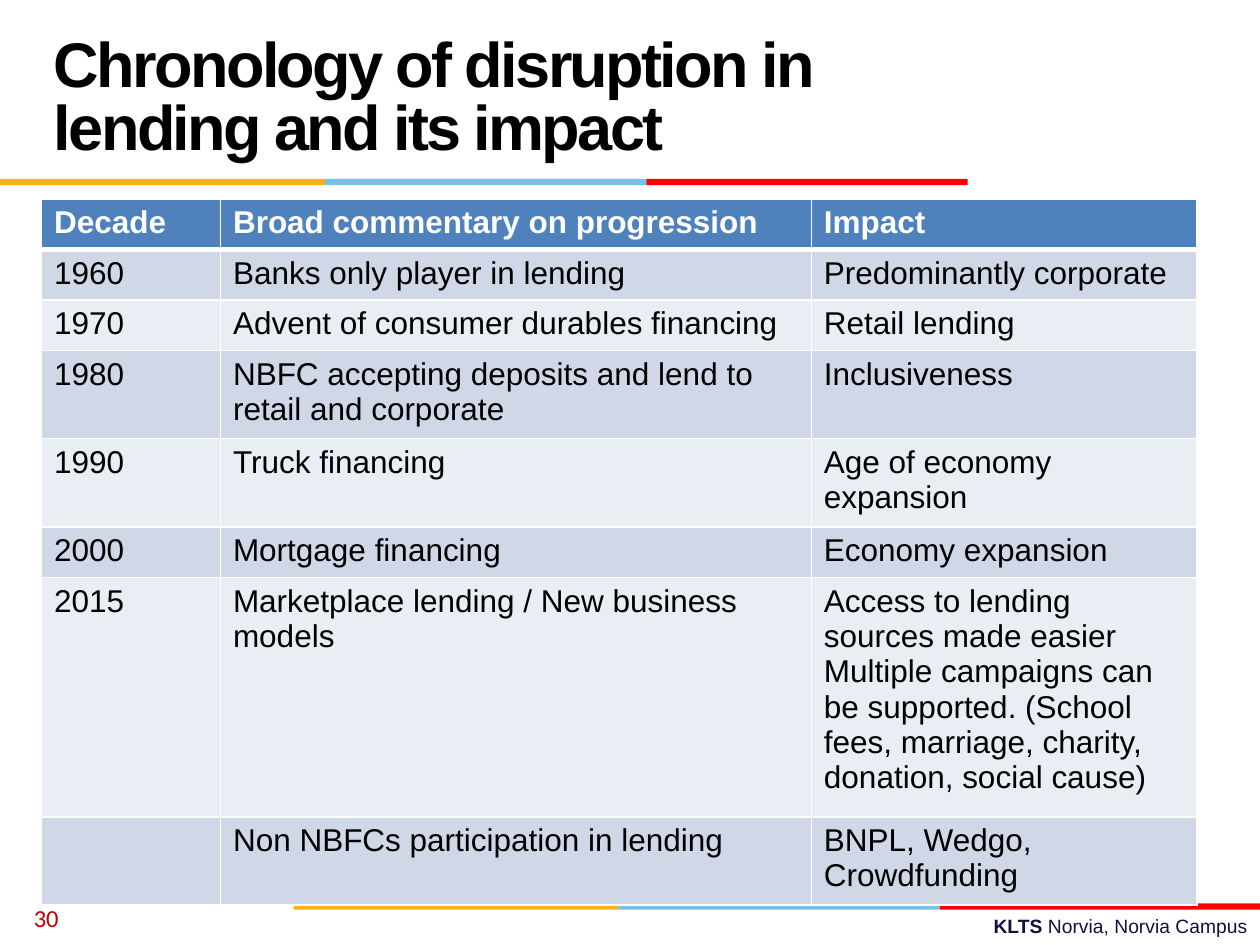
from dataclasses import dataclass

from lxml.etree import SubElement
from pptx import Presentation
from pptx.dml.color import RGBColor
from pptx.enum.shapes import MSO_SHAPE
from pptx.enum.text import MSO_ANCHOR, PP_ALIGN
from pptx.oxml.ns import qn
from pptx.util import Inches, Pt


@dataclass(frozen=True)
class Theme:
    font: str = "Arial"
    number_font: str = "Calibri"
    black: str = "000000"
    white: str = "FFFFFF"
    navy: str = "101141"
    number_red: str = "C00000"
    header: str = "4F81BD"
    bands: tuple = ("D0D8E8", "E9EDF4")
    stripe: tuple = ("FCB017", "76C2E5", "FF0000")
    title_size: int = 36
    table_size: int = 18
    number_size: int = 14
    footer_size: int = 11


THEME = Theme()
STRIPE_WIDTHS = (2.58, 2.55, 2.55)
COLUMN_WIDTHS = (1.42, 4.69, 3.06)
LINE_HEIGHT = 0.4
ROW_HEIGHTS = (LINE_HEIGHT, LINE_HEIGHT, LINE_HEIGHT, 0.7, 0.7, LINE_HEIGHT, 1.78, 0.7)
CHRONOLOGY = (
    ("Decade", "Broad commentary on progression", "Impact"),
    ("1960", "Banks only player in lending", "Predominantly corporate"),
    ("1970", "Advent of consumer durables financing", "Retail lending"),
    ("1980", "NBFC accepting deposits and lend to retail and corporate", "Inclusiveness"),
    ("1990", "Truck financing", "Age of economy expansion"),
    ("2000", "Mortgage financing", "Economy expansion"),
    (
        "2015",
        "Marketplace lending / New business models",
        "Access to lending sources made easier\n"
        "Multiple campaigns can be supported. "
        "(School fees, marriage, charity, donation, social cause)",
    ),
    ("", "Non NBFCs participation in lending", "BNPL, Wedgo, Crowdfunding"),
)


def add_run(paragraph, text, size, color, bold=False, font=THEME.font):
    run = paragraph.add_run()
    run.text = text
    run.font.name = font
    run.font.size = Pt(size)
    run.font.bold = bold
    run.font.color.rgb = RGBColor.from_string(color)
    return run


def add_text_frame(slide, left, top, width, height, anchor=MSO_ANCHOR.MIDDLE):
    box = slide.shapes.add_textbox(Inches(left), Inches(top), Inches(width), Inches(height))
    frame = box.text_frame
    frame.word_wrap = True
    frame.vertical_anchor = anchor
    return frame


def add_stripe(slide, left, top):
    for width, color in zip(STRIPE_WIDTHS, THEME.stripe):
        band = slide.shapes.add_shape(
            MSO_SHAPE.RECTANGLE, Inches(left), Inches(top), Inches(width), Inches(0.05)
        )
        band.shadow.inherit = False
        band.fill.solid()
        band.fill.fore_color.rgb = RGBColor.from_string(color)
        band.line.fill.background()
        left += width


def add_footer(slide):
    paragraph = add_text_frame(slide, 3.58, 7.21, 6.42, 0.29, MSO_ANCHOR.TOP).paragraphs[0]
    paragraph.alignment = PP_ALIGN.RIGHT
    add_run(paragraph, "KLTS ", THEME.footer_size, THEME.navy, bold=True)
    add_run(paragraph, "Norvia, Norvia Campus", THEME.footer_size, THEME.navy)


def add_title(slide):
    paragraph = add_text_frame(slide, 0.33, 0.17, 6.92, 1.25).paragraphs[0]
    paragraph.line_spacing = Pt(THEME.title_size)
    run = add_run(
        paragraph,
        "Chronology of disruption in lending and its impact",
        THEME.title_size,
        THEME.black,
        bold=True,
    )
    run.font._element.set("spc", "-150")


def add_page_number(slide):
    paragraph = add_text_frame(slide, 0.17, 7.08, 2.33, 0.4).paragraphs[0]
    add_run(paragraph, "30", THEME.number_size, THEME.number_red, font=THEME.number_font)


def set_borders(cell, top=1, bottom=1):
    properties = cell._tc.get_or_add_tcPr()
    for side, points in (("lnL", 1), ("lnR", 1), ("lnT", top), ("lnB", bottom)):
        border = SubElement(properties, qn(f"a:{side}"), w=str(Pt(points)))
        fill = SubElement(border, qn("a:solidFill"))
        SubElement(fill, qn("a:srgbClr"), val=THEME.white)


def fill_cell(cell, text, row):
    is_header = row == 0
    set_borders(cell, top=3 if row == 1 else 1, bottom=3 if is_header else 1)
    cell.fill.solid()
    background = THEME.header if is_header else THEME.bands[(row - 1) % 2]
    cell.fill.fore_color.rgb = RGBColor.from_string(background)
    color = THEME.white if is_header else THEME.black
    frame = cell.text_frame
    for index, line in enumerate(text.splitlines()):
        paragraph = frame.add_paragraph() if index else frame.paragraphs[0]
        add_run(paragraph, line, THEME.table_size, color, bold=is_header)


def add_chronology(slide):
    table = slide.shapes.add_table(
        len(CHRONOLOGY), len(COLUMN_WIDTHS), Inches(0.33), Inches(1.58),
        Inches(sum(COLUMN_WIDTHS)), Inches(sum(ROW_HEIGHTS)),
    ).table
    for column, width in zip(table.columns, COLUMN_WIDTHS):
        column.width = Inches(width)
    for row, (texts, height) in enumerate(zip(CHRONOLOGY, ROW_HEIGHTS)):
        table.rows[row].height = Inches(height)
        for column, text in enumerate(texts):
            fill_cell(table.cell(row, column), text, row)


def main():
    presentation = Presentation()
    presentation.slide_width = Inches(10)
    presentation.slide_height = Inches(7.5)
    slide = presentation.slides.add_slide(presentation.slide_layouts[6])
    add_footer(slide)
    add_stripe(slide, 2.33, 7.17)
    add_stripe(slide, 0, 1.42)
    add_title(slide)
    add_page_number(slide)
    add_chronology(slide)
    presentation.save("out.pptx")


if __name__ == "__main__":
    main()
